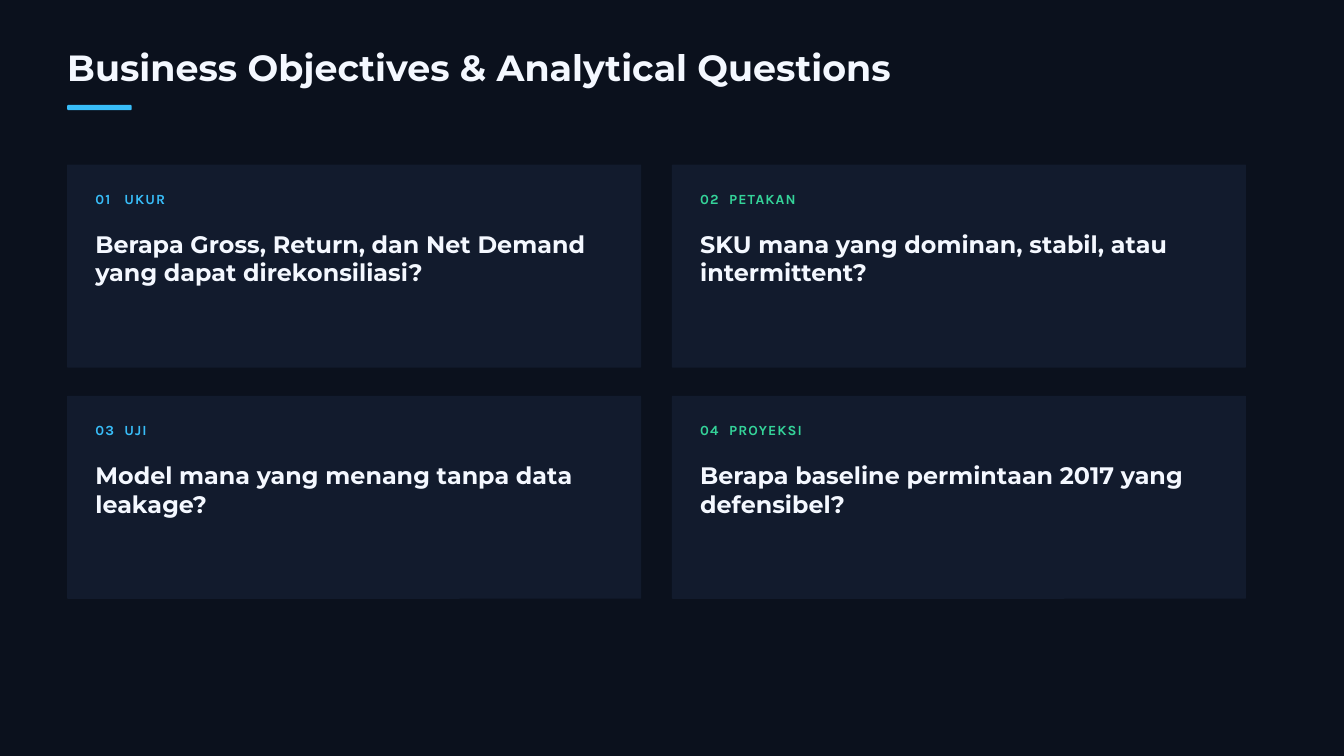
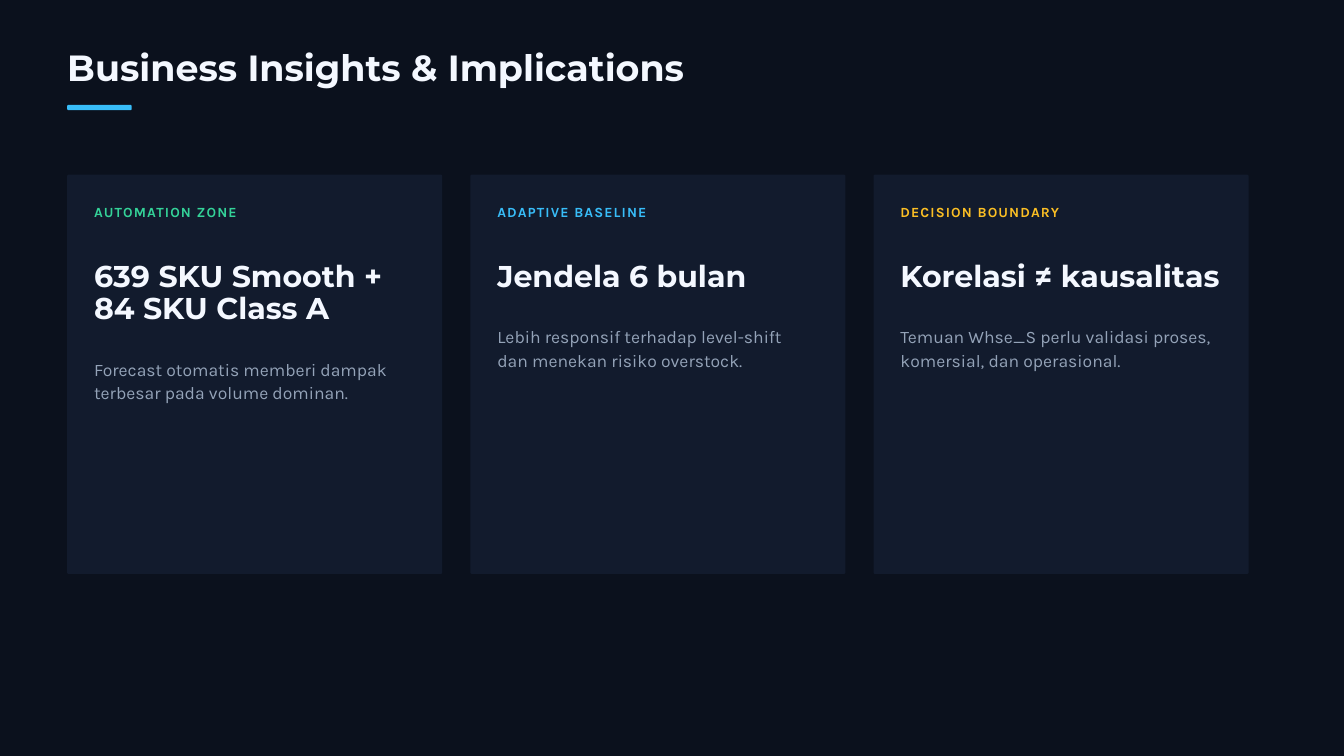
import pptx
import pptx.util
import pptx.dml.color
import pptx.enum.shapes
import pptx.enum.text
import pptx.oxml.ns
from lxml import etree

# Shared look
WIDTH, HEIGHT = 20, 11.25
MARGIN = WIDTH * 0.05
NAVY, PANEL, WHITE, GREY = "0B111D", "121B2D", "F4F8FF", "94A3B8"
BLUE, GREEN, AMBER = "38BDF8", "34D399", "FBBF24"
HEAD_FONT, BODY_FONT = "Montserrat", "Karla"

OBJECTIVES = [
    ("01\tUKUR", "Berapa Gross, Return, dan Net Demand yang dapat direkonsiliasi?"),
    ("02\tPETAKAN", "SKU mana yang dominan, stabil, atau intermittent?"),
    ("03\tUJI", "Model mana yang menang tanpa data leakage?"),
    ("04\tPROYEKSI", "Berapa baseline permintaan 2017 yang defensibel?"),
]

# Label, colour, heading, number of heading lines, body
INSIGHTS = [
    ("AUTOMATION ZONE", GREEN, "639 SKU Smooth + 84 SKU Class A", 2,
     "Forecast otomatis memberi dampak terbesar pada volume dominan."),
    ("ADAPTIVE BASELINE", BLUE, "Jendela 6 bulan", 1,
     "Lebih responsif terhadap level-shift dan menekan risiko overstock."),
    ("DECISION BOUNDARY", AMBER, "Korelasi ≠ kausalitas", 1,
     "Temuan Whse_S perlu validasi proses, komersial, dan operasional."),
]


def rgb(color):
    return pptx.dml.color.RGBColor.from_string(color)


def box(*lengths):
    return [pptx.util.Inches(length) for length in lengths]


def add_panel(s, x, y, w, h, color, radius):
    """Filled rectangle with a small corner radius in inches."""
    kind = pptx.enum.shapes.MSO_SHAPE.ROUNDED_RECTANGLE
    sp = s.shapes.add_shape(kind, *box(x, y, w, h))
    sp.adjustments[0] = radius / min(w, h)
    sp.shadow.inherit = False
    sp.fill.solid()
    sp.fill.fore_color.rgb = rgb(color)
    sp.line.fill.background()


def add_text(s, x, y, w, h, text, size, leading, color=WHITE,
             font=HEAD_FONT, bold=True, spacing=0, tab=None):
    tf = s.shapes.add_textbox(*box(x, y, w, h)).text_frame
    tf.margin_left = tf.margin_right = tf.margin_top = tf.margin_bottom = 0
    tf.word_wrap = True
    tf.auto_size = pptx.enum.text.MSO_AUTO_SIZE.SHAPE_TO_FIT_TEXT
    p = tf.paragraphs[0]
    p.text = text
    p.line_spacing = pptx.util.Pt(leading)
    qn = pptx.oxml.ns.qn
    if tab:
        stops = etree.SubElement(p._p.get_or_add_pPr(), qn("a:tabLst"))
        etree.SubElement(stops, qn("a:tab"), pos=str(pptx.util.Inches(tab)), algn="l")
    p.font.name = font
    p.font.size = pptx.util.Pt(size)
    p.font.bold = bold
    p.font.color.rgb = rgb(color)
    if spacing:
        p._p.pPr.find(qn("a:defRPr")).set("spc", str(round(spacing * 100)))


def add_label(s, x, y, w, text, color, tab=None):
    add_text(s, x, y, w, 0.28, text, 15, 21, color, BODY_FONT, spacing=1.2, tab=tab)


def add_titled_slide(prs, title):
    s = prs.slides.add_slide(prs.slide_layouts[6])
    s.background.fill.solid()
    s.background.fill.fore_color.rgb = rgb(NAVY)
    add_text(s, MARGIN, 0.73, 15.62, 0.61, title, 39, 42.1)
    add_panel(s, MARGIN, 1.56, 0.96, 0.08, BLUE, 0.02)
    return s


def add_objective(s, x, y, label, color, question):
    add_panel(s, x, y, 8.54, 3.02, PANEL, 0.01)
    add_label(s, x + 0.42, y + 0.34, 3.12, label, color, tab=0.43)
    add_text(s, x + 0.42, y + 0.98, 7.5, 0.84, question, 25.5, 30.1)


def add_insight(s, x, y, label, color, heading, lines, body):
    size, leading = 32.2, 34.8
    heading_height = lines * leading / 72
    heading_top = y + 1.28
    add_panel(s, x, y, 5.58, 5.94, PANEL, 0.02)
    add_label(s, x + 0.4, y + 0.39, 4.79, label, color)
    add_text(s, x + 0.4, heading_top, 4.79, heading_height, heading, size, leading)
    add_text(s, x + 0.4, heading_top + heading_height + 0.45, 4.69, 0.67, body,
             18.8, 25.3, GREY, BODY_FONT, bold=False)


def main():
    prs = pptx.Presentation()
    prs.slide_width, prs.slide_height = box(WIDTH, HEIGHT)

    # Objectives: two columns by two rows, one colour per column
    s = add_titled_slide(prs, "Business Objectives & Analytical Questions")
    for i, (label, question) in enumerate(OBJECTIVES):
        row, col = divmod(i, 2)
        add_objective(s, MARGIN + col * 9, 2.45 + row * 3.44,
                      label, (BLUE, GREEN)[col], question)

    # Insights: three columns
    s = add_titled_slide(prs, "Business Insights & Implications")
    for col, insight in enumerate(INSIGHTS):
        add_insight(s, MARGIN + col * 6, 2.6, *insight)

    prs.save("out.pptx")


if __name__ == "__main__":
    main()
